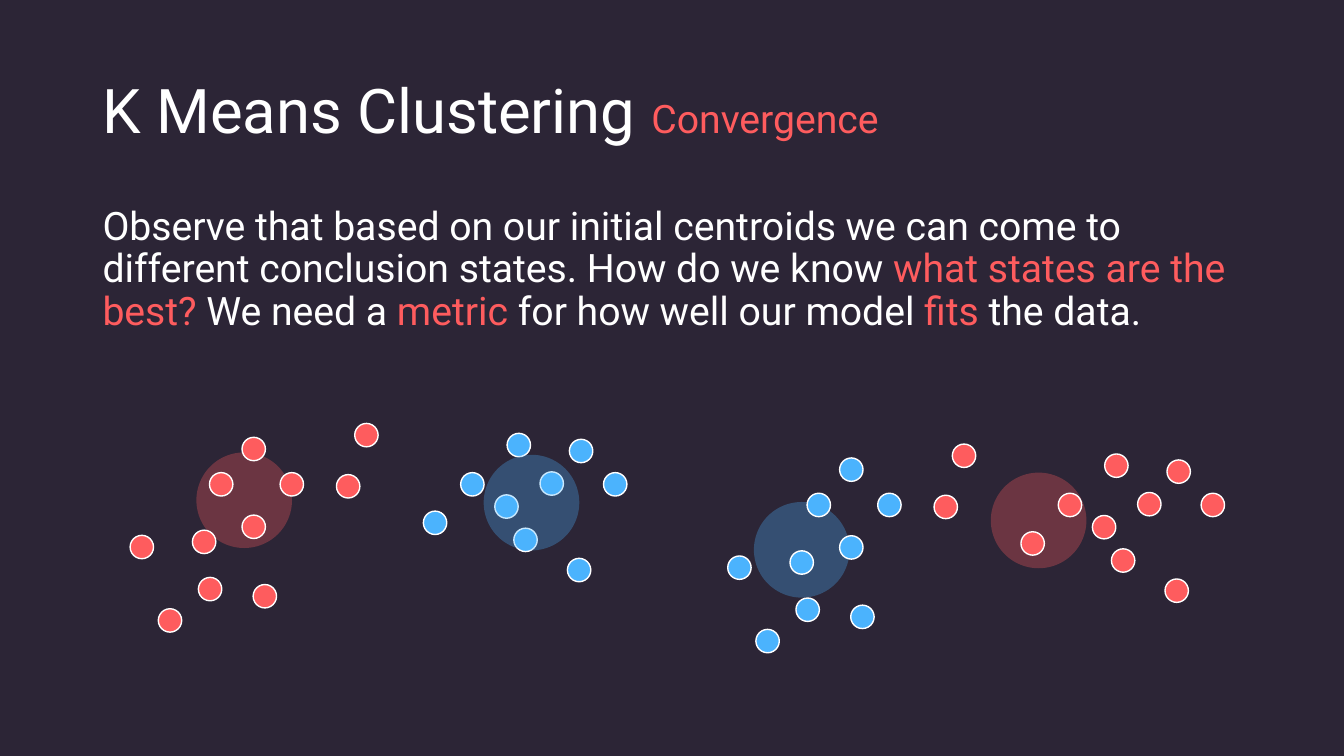
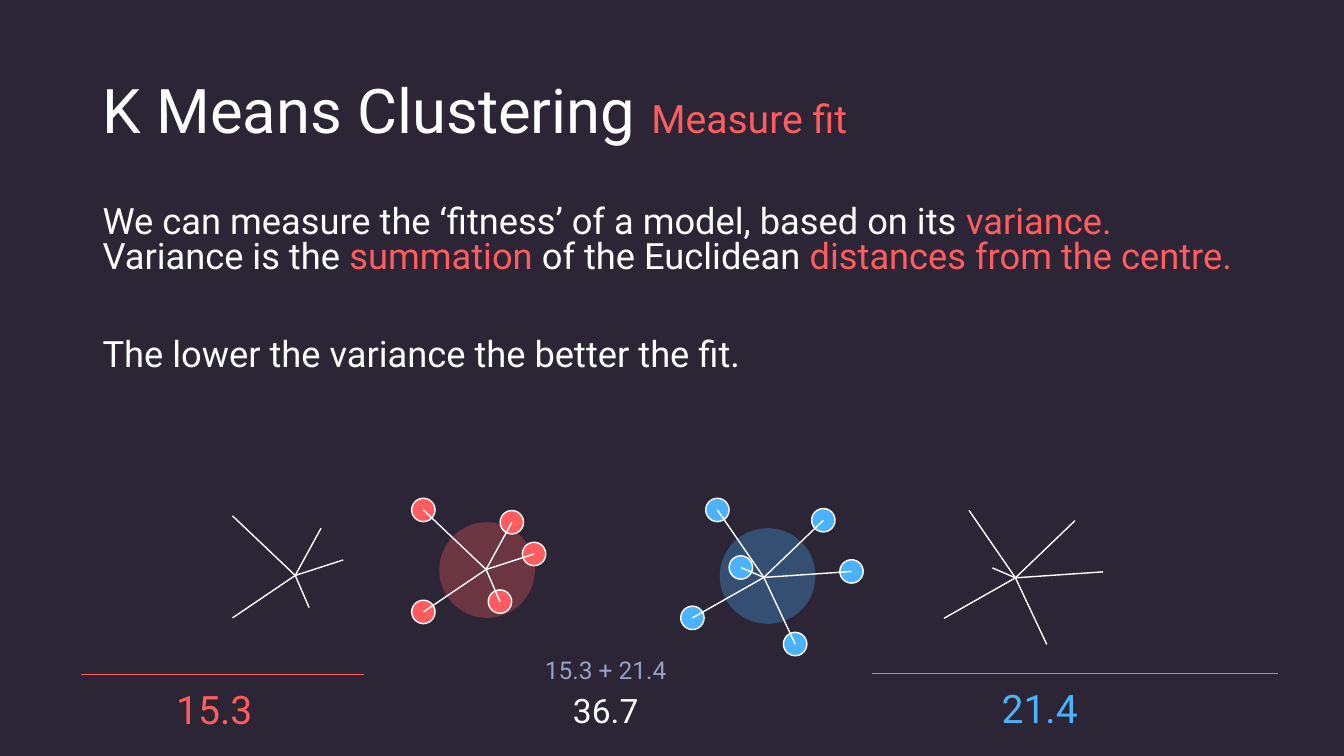
from lxml import etree
from pptx import Presentation
from pptx.dml.color import RGBColor
from pptx.enum.shapes import MSO_CONNECTOR, MSO_SHAPE
from pptx.enum.text import MSO_ANCHOR, MSO_AUTO_SIZE, PP_ALIGN
from pptx.oxml.ns import qn
from pptx.util import Cm, Pt

ELLIPSE = MSO_SHAPE.OVAL
STRAIGHT = MSO_CONNECTOR.STRAIGHT
TOP, MIDDLE = MSO_ANCHOR.TOP, MSO_ANCHOR.MIDDLE
LEFT, CENTER = PP_ALIGN.LEFT, PP_ALIGN.CENTER
NO_FIT = MSO_AUTO_SIZE.NONE

COLORS = {
    "background": "2C2536",
    "white": "FFFFFF",
    "red": "FE5C5E",
    "blue": "4BB3FD",
    "muted": "99A0C1",
}
FONT = "Roboto"
DOT, HALO = 0.59, 2.41


def fill_text(shape, place, paragraphs, spacing, gap=0, anchor=TOP, align=LEFT):
    """Place a text shape; each paragraph is a list of (text, color, size)."""
    shape.left, shape.top, shape.width, shape.height = [Cm(value) for value in place]
    frame = shape.text_frame
    frame.word_wrap = True
    frame.auto_size = NO_FIT
    frame.vertical_anchor = anchor
    for index, spans in enumerate(paragraphs):
        para = frame.add_paragraph() if index else frame.paragraphs[0]
        properties = para._p.get_or_add_pPr()
        properties.set("marL", "0")
        properties.set("indent", "0")
        etree.SubElement(properties, qn("a:buNone"))
        para.alignment = align
        para.line_spacing = spacing
        para.space_before = Pt(gap if index else 0)
        for text, color, size in spans:
            span = para.add_run()
            span.text = text
            span.font.name = FONT
            span.font.size = Pt(size)
            span.font.color.rgb = RGBColor.from_string(COLORS[color])


def add_circle(slide, left, top, color, is_halo=False):
    """Add an outlined data dot, or a translucent centroid halo."""
    size = Cm(HALO if is_halo else DOT)
    circle = slide.shapes.add_shape(ELLIPSE, Cm(left), Cm(top), size, size)
    circle.shadow.inherit = False
    circle.fill.solid()
    circle.fill.fore_color.rgb = RGBColor.from_string(COLORS[color])
    if is_halo:
        tint = circle._element.spPr.find(qn("a:solidFill"))[0]
        etree.SubElement(tint, qn("a:alpha")).set("val", "30000")
        circle.line.fill.background()
    else:
        circle.line.color.rgb = RGBColor.from_string(COLORS["white"])
        circle.line.width = Pt(1)


deck = Presentation()
deck.slide_width, deck.slide_height = Cm(33.87), Cm(19.05)
background = deck.slide_master.background.fill
background.solid()
background.fore_color.rgb = RGBColor.from_string(COLORS["background"])

# Titles and body text
PAGES = [
    ("Convergence", 28, 0.9, [[
        ("Observe that based on our initial centroids we can come to different "
         "conclusion states. How do we know ", "white"),
        ("what states are the best?", "red"),
        (" We need a ", "white"),
        ("metric", "red"),
        (" for how well our model ", "white"),
        ("fits", "red"),
        (" the data.", "white"),
    ]]),
    ("Measure fit", 25.9, 0.8, [
        [
            ("We can measure the ‘fitness’ of a model, based on its ", "white"),
            ("variance. ", "red"),
            ("Variance is the ", "white"),
            ("summation", "red"),
            (" of the Euclidean ", "white"),
            ("distances from the centre.", "red"),
        ],
        [("The lower the variance the better the fit.", "white")],
    ]),
]
pages = []
for subtitle, size, spacing, body in PAGES:
    page = deck.slides.add_slide(deck.slide_layouts[1])
    title = [("K Means Clustering ", "white", 44), (subtitle, "red", 28)]
    fill_text(page.shapes.title, (2.33, 1.02, 29.21, 3.68), [title], 0.9, anchor=MIDDLE)
    paragraphs = [[(text, color, size) for text, color in spans] for spans in body]
    fill_text(page.placeholders[1], (2.33, 5.08, 29.66, 5.84), paragraphs, spacing, gap=45)
    pages.append(page)
convergence, measure = pages

# Convergence: the same points, split differently by two sets of centroids
POINTS = [
    (15.21, 11.91), (5.28, 11.91), (6.1, 11.02), (6.1, 12.98), (7.06, 11.91),
    (3.28, 13.49), (14.3, 14.07), (12.95, 13.31), (10.67, 12.88), (11.61, 11.91),
    (3.99, 15.34), (6.38, 14.73), (4.85, 13.36), (8.48, 11.96), (8.94, 10.67),
    (14.35, 11.07), (12.78, 10.92), (12.47, 12.47), (13.61, 11.89), (5, 14.55),
]
# Shift right, shift down, split, left color, right color, halos behind, halos in front
OUTCOMES = [
    (0, 0, 10, "red", "blue", [(4.95, 11.4, "red")], [(12.19, 11.46, "blue")]),
    (15.06, 0.52, 8, "blue", "red",
     [(19, 12.65, "blue"), (24.97, 11.91, "red")], []),
]
for shift_x, shift_y, split, left_color, right_color, behind, in_front in OUTCOMES:
    for left, top, color in behind:
        add_circle(convergence, left, top, color, is_halo=True)
    for x, y in POINTS:
        color = left_color if x < split else right_color
        add_circle(convergence, x + shift_x, y + shift_y, color)
    for left, top, color in in_front:
        add_circle(convergence, left, top, color, is_halo=True)

# Measure fit: color, halo corner, hub, dot centres, shift of the bare spokes
CLUSTERS = [
    ("red", (11.07, 13.16), (12.25, 14.35),
     [(10.67, 12.85), (12.6, 15.16), (13.46, 13.96), (10.67, 15.42), (12.9, 13.16)],
     (-4.81, 0.15)),
    ("blue", (18.14, 13.31), (19.25, 14.55),
     [(21.46, 14.4), (20.04, 16.23), (17.45, 15.57), (20.75, 13.11), (18.08, 12.85),
      (18.67, 14.3)],
     (6.34, 0.01)),
]
lines = [
    ((2.03, 16.99), (9.17, 16.99), "red"),
    ((21.97, 16.97), (32.21, 16.97), "blue"),
]
for color, halo, hub, centres, shift in CLUSTERS:
    add_circle(measure, *halo, color, is_halo=True)
    for x, y in centres:
        add_circle(measure, x - DOT / 2, y - DOT / 2, color)
        for shift_x, shift_y in ((0, 0), shift):
            start = (hub[0] + shift_x, hub[1] + shift_y)
            lines.append((start, (x + shift_x, y + shift_y), "white"))

for start, end, color in lines:
    line = measure.shapes.add_connector(
        STRAIGHT, *[Cm(value) for value in (*start, *end)])
    line.line.color.rgb = RGBColor.from_string(COLORS[color])
    line.line.width = Pt(1)
    etree.SubElement(line._element.spPr, qn("a:effectLst"))

# Variance of each cluster and their sum
FIGURES = [
    ("15.3", "red", 28, (4.19, 17.27, 2.82, 1.37), 0.9, LEFT),
    ("21.4", "blue", 28, (24.99, 17.25, 2.82, 1.37), 0.9, LEFT),
    ("15.3 + 21.4", "muted", 17.5, (13.18, 16.59, 4.17, 0.84), 0.7, CENTER),
    ("36.7", "white", 24, (13.18, 17.37, 4.17, 0.84), 0.9, CENTER),
]
for text, color, size, place, spacing, align in FIGURES:
    box = measure.shapes.add_textbox(0, 0, 0, 0)
    fill_text(box, place, [[(text, color, size)]], spacing, align=align)

deck.save("out.pptx")
